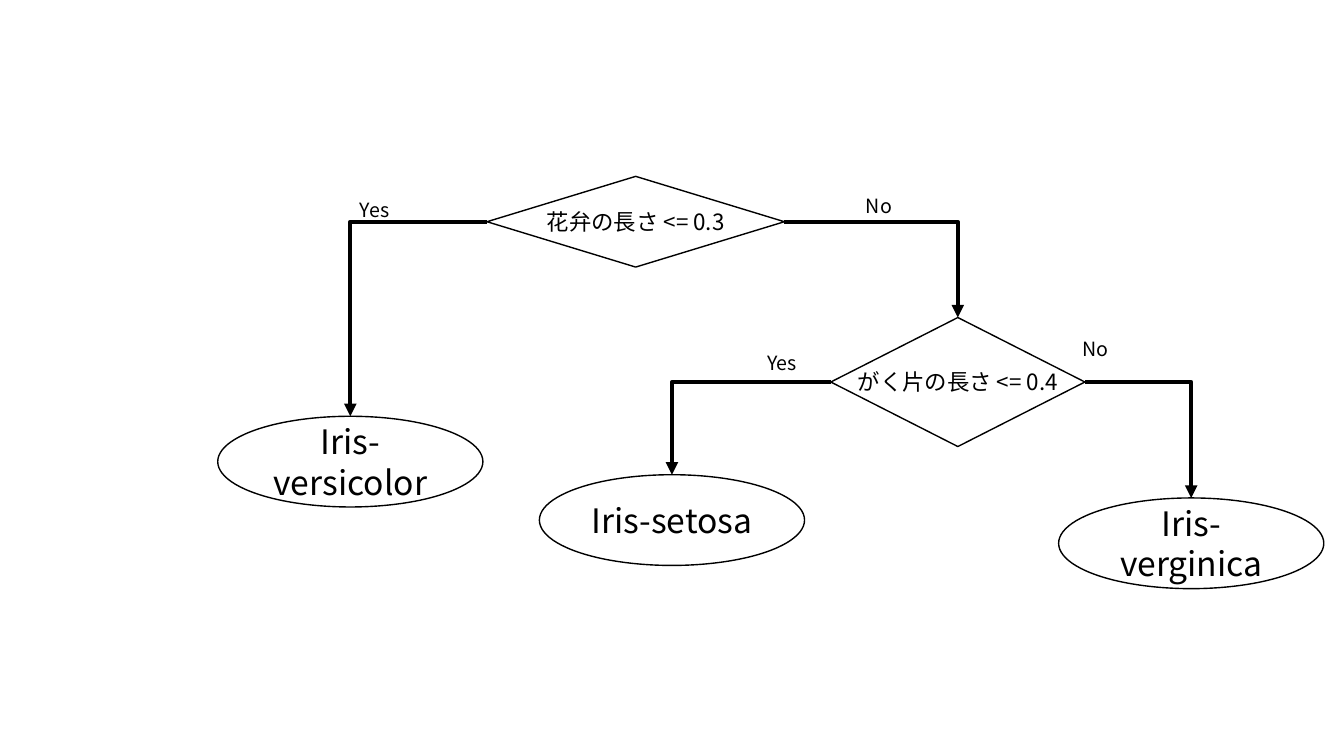
from lxml.etree import SubElement
from pptx import Presentation
from pptx.dml.color import RGBColor
from pptx.enum.shapes import MSO_CONNECTOR as Link, MSO_SHAPE as Form
from pptx.enum.text import MSO_ANCHOR as Anchor, MSO_AUTO_SIZE as AutoSize, PP_ALIGN as Align
from pptx.oxml.ns import qn
from pptx.util import Inches, Pt

COLORS = {"ink": "000000"}
FONT = "Noto Sans CJK JP"
TOP, LEFT, RIGHT = 0, 1, 3


class TreePage:
    """Draws the parts of a decision tree on one slide."""

    def __init__(self, page):
        self.page = page
        self.ink = RGBColor.from_string(COLORS["ink"])

    def set_text(self, shape, text, size, align, wrap):
        frame = shape.text_frame
        frame.word_wrap = wrap
        para = frame.paragraphs[0]
        para.text = text
        para.alignment = align
        font = para.font
        font.size = Pt(size)
        font.name = FONT
        font.color.rgb = self.ink
        SubElement(font._element, qn("a:ea"), typeface=FONT)

    def node(self, form, box, text, size, wrap):
        shape = self.page.shapes.add_shape(form, *map(Inches, box))
        shape.shadow.inherit = False
        shape.fill.background()
        shape.line.color.rgb = self.ink
        shape.line.width = Pt(1)
        shape.text_frame.vertical_anchor = Anchor.MIDDLE
        self.set_text(shape, text, size, Align.CENTER, wrap)
        return shape

    def decision(self, box, text):
        return self.node(Form.FLOWCHART_DECISION, box, text, 16, False)

    def leaf(self, left, top, text):
        return self.node(Form.OVAL, (left, top, 2.63, 0.9), text, 24, True)

    def answer(self, left, top, width, text):
        box = self.page.shapes.add_textbox(*map(Inches, (left, top, width, 0.34)))
        self.set_text(box, text, 14, Align.LEFT, False)
        box.text_frame.auto_size = AutoSize.SHAPE_TO_FIT_TEXT

    def branch(self, parent, side, child):
        """Joins a side of the parent to the top of the child with one bend."""
        arrow = self.page.shapes.add_connector(Link.ELBOW, 0, 0, 0, 0)
        arrow.begin_connect(parent, side)
        arrow.end_connect(child, TOP)
        arrow.line.color.rgb = self.ink
        arrow.line.width = Pt(3)
        properties = arrow.element.spPr
        properties.find(qn("a:prstGeom")).set("prst", "bentConnector2")
        SubElement(properties.find(qn("a:ln")), qn("a:tailEnd"), type="triangle")
        SubElement(properties, qn("a:effectLst"))


def main():
    deck = Presentation()
    deck.slide_width, deck.slide_height = Inches(13.33), Inches(7.5)
    tree = TreePage(deck.slides.add_slide(deck.slide_layouts[6]))

    petal = tree.decision((4.83, 1.75, 2.95, 0.9), "花弁の長さ <= 0.3")
    sepal = tree.decision((8.24, 3.15, 2.52, 1.28), "がく片の長さ <= 0.4")
    versicolor = tree.leaf(2.16, 4.13, "Iris-versicolor")
    setosa = tree.leaf(5.35, 4.71, "Iris-setosa")
    verginica = tree.leaf(10.5, 4.94, "Iris-verginica")

    for parent, yes, no in ((petal, versicolor, sepal), (sepal, setosa, verginica)):
        tree.branch(parent, LEFT, yes)
        tree.branch(parent, RIGHT, no)

    for left, top in ((3.47, 1.91), (7.51, 3.43)):
        tree.answer(left, top, 0.54, "Yes")
    for left, top in ((8.49, 1.87), (10.64, 3.29)):
        tree.answer(left, top, 0.46, "No")

    deck.save("out.pptx")


if __name__ == "__main__":
    main()
